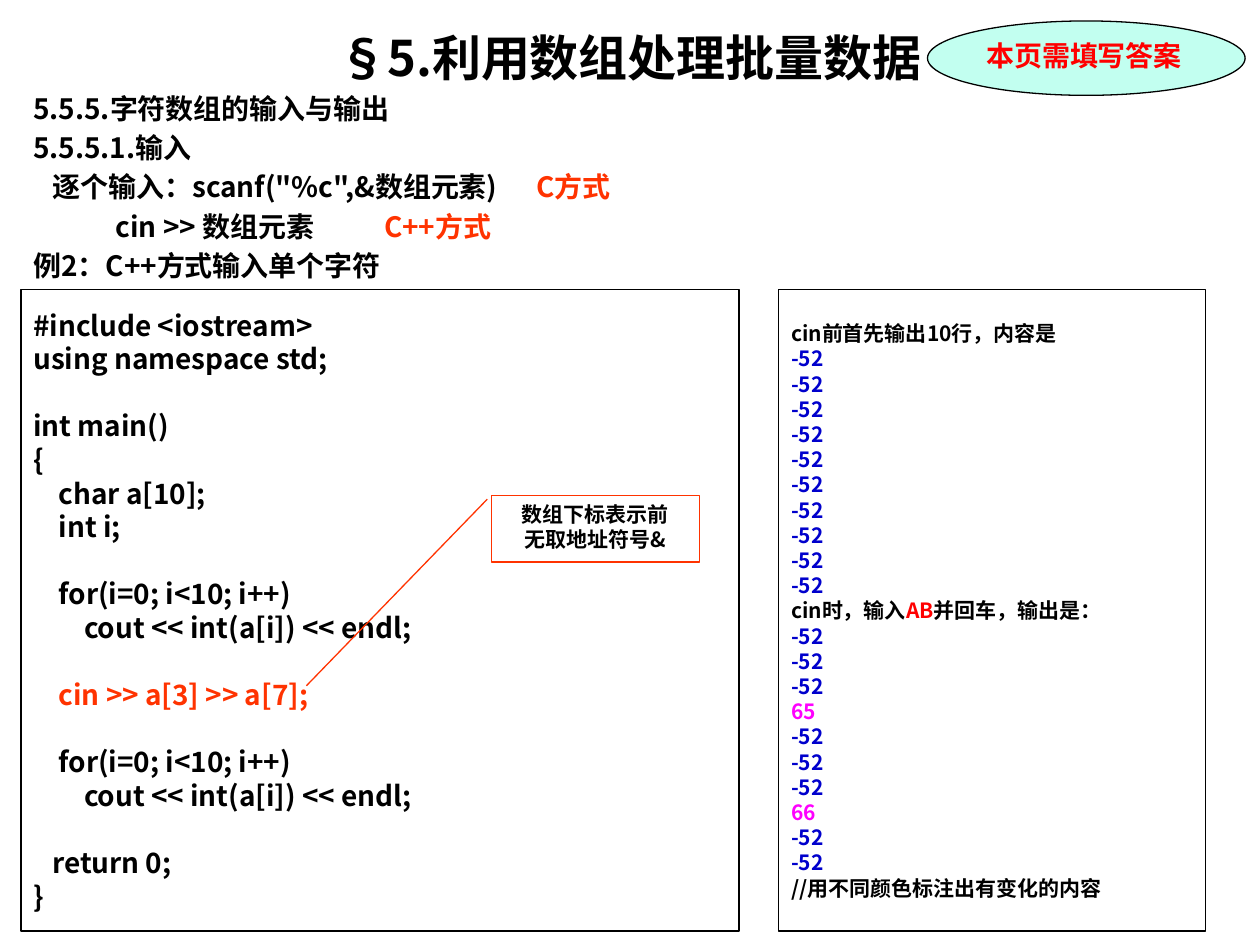
import pptx
import pptx.util
import pptx.dml.color
import pptx.enum.shapes
import pptx.enum.text
import pptx.oxml.ns
import lxml.etree

Pt = pptx.util.Pt
RGBColor = pptx.dml.color.RGBColor
MSO_SHAPE = pptx.enum.shapes.MSO_SHAPE
PP_ALIGN = pptx.enum.text.PP_ALIGN
MSO_ANCHOR = pptx.enum.text.MSO_ANCHOR
qn = pptx.oxml.ns.qn

BLACK = RGBColor(0x00, 0x00, 0x00)
ORANGE = RGBColor(0xFF, 0x33, 0x00)
RED = RGBColor(0xFF, 0x00, 0x00)
BLUE = RGBColor(0x00, 0x00, 0xCC)
MAGENTA = RGBColor(0xFF, 0x00, 0xFF)
MINT = RGBColor(0xC2, 0xFF, 0xF0)

SANS = "Noto Sans CJK SC"
SERIF = "Times New Roman"

CODE = """#include <iostream>
using namespace std;

int main()
{
    char a[10];
    int i;

    for(i=0; i<10; i++)
        cout << int(a[i]) << endl;

    cin >> a[3] >> a[7];

    for(i=0; i<10; i++)
        cout << int(a[i]) << endl;

   return 0;
}"""


def set_tabs(p, stops):
    """Add left tab stops, in points from the text edge."""
    tabs = lxml.etree.SubElement(p._p.get_or_add_pPr(), qn("a:tabLst"))
    for stop in stops:
        lxml.etree.SubElement(tabs, qn("a:tab"), pos=str(Pt(stop)), algn="l")


def format_run(r, size, color, font):
    r.font.size = Pt(size)
    r.font.bold = True
    r.font.color.rgb = color
    r.font.name = font
    ea = lxml.etree.SubElement(r._r.get_or_add_rPr(), qn("a:ea"))
    ea.set("typeface", SANS)


def fill_text(shape, lines, size, font=SANS, align=PP_ALIGN.LEFT,
              anchor=MSO_ANCHOR.TOP, gap=0):
    """Write lines, each a list of (text, colour) runs."""
    tf = shape.text_frame
    tf.word_wrap = True
    tf.auto_size = pptx.enum.text.MSO_AUTO_SIZE.NONE
    tf.vertical_anchor = anchor
    for i, runs in enumerate(lines):
        p = tf.add_paragraph() if i else tf.paragraphs[0]
        p.alignment = align
        p.line_spacing = Pt(size * 1.2)
        p.space_before = Pt(gap if i else 0)
        p.font.size = Pt(size)
        for text, color in runs:
            r = p.add_run()
            r.text = text
            format_run(r, size, color, font)
    return tf


def add_box(slide, kind, left, top, width, height, line=BLACK, fill=None):
    sp = slide.shapes.add_shape(kind, Pt(left), Pt(top), Pt(width), Pt(height))
    sp.shadow.inherit = False
    if fill is None:
        sp.fill.background()
    else:
        sp.fill.solid()
        sp.fill.fore_color.rgb = fill
    sp.line.color.rgb = line
    sp.line.width = Pt(0.75)
    return sp


def add_title(slide, text):
    title = slide.shapes.title
    title.left, title.top, title.width, title.height = Pt(12), Pt(12), Pt(696), Pt(41)
    fill_text(title, [[(text, BLACK)]], 28, align=PP_ALIGN.CENTER)


def add_intro(slide):
    lines = [
        [("5.5.5.字符数组的输入与输出", BLACK)],
        [("5.5.5.1.输入", BLACK)],
        [("\t逐个输入：scanf(\"%c\",&数组元素)\t", BLACK), ("C方式", ORANGE)],
        [("\tcin >> 数组元素\t", BLACK), ("C++方式", ORANGE)],
        [("例2：C++方式输入单个字符", BLACK)],
    ]
    box = slide.shapes.add_textbox(Pt(12), Pt(48.8), Pt(696), Pt(116))
    tf = fill_text(box, lines, 16, gap=3.2)
    set_tabs(tf.paragraphs[2], [11, 287.5])
    set_tabs(tf.paragraphs[3], [47, 200.5])


def add_code(slide):
    lines = [[(line, ORANGE if "cin" in line else BLACK)] if line else []
             for line in CODE.split("\n")]
    sp = add_box(slide, MSO_SHAPE.RECTANGLE, 12, 165.6, 410.4, 366.5)
    fill_text(sp, lines, 16, anchor=MSO_ANCHOR.MIDDLE)


def add_callout(slide):
    sp = add_box(slide, MSO_SHAPE.LINE_CALLOUT_1, 280.8, 283, 118.8, 38.2, ORANGE)
    for i, value in enumerate([0.06, -0.02, 2.85, -0.89]):
        sp.adjustments[i] = value
    lines = [[("数组下标表示前", BLACK)], [("无取地址符号&", BLACK)]]
    fill_text(sp, lines, 12, align=PP_ALIGN.CENTER)


def add_answers(slide):
    before = [[("-52", BLUE)]] * 10
    changed = {3: "65", 7: "66"}  # elements read by cin
    after = [[(changed[i], MAGENTA)] if i in changed else [("-52", BLUE)]
             for i in range(10)]
    lines = [
        [("cin前首先输出10行，内容是", BLACK)],
        *before,
        [("cin时，输入", BLACK), ("AB", RED), ("并回车，输出是：", BLACK)],
        *after,
        [("//用不同颜色标注出有变化的内容", BLACK)],
    ]
    sp = add_box(slide, MSO_SHAPE.RECTANGLE, 445, 165.6, 244, 366.5)
    fill_text(sp, lines, 12, anchor=MSO_ANCHOR.MIDDLE)


def add_badge(slide):
    sp = add_box(slide, MSO_SHAPE.OVAL, 530, 12, 181.5, 42.5, fill=MINT)
    fill_text(sp, [[("本页需填写答案", RED)]], 16, font=SERIF)


def main():
    prs = pptx.Presentation()
    prs.slide_width, prs.slide_height = Pt(720), Pt(540)
    slide = prs.slides.add_slide(prs.slide_layouts[5])

    # Heading and introduction
    add_title(slide, "§5.利用数组处理批量数据")
    add_intro(slide)
    # Program with its note, then the answers
    add_code(slide)
    add_callout(slide)
    add_answers(slide)
    # Corner badge
    add_badge(slide)

    prs.save("out.pptx")


if __name__ == "__main__":
    main()
